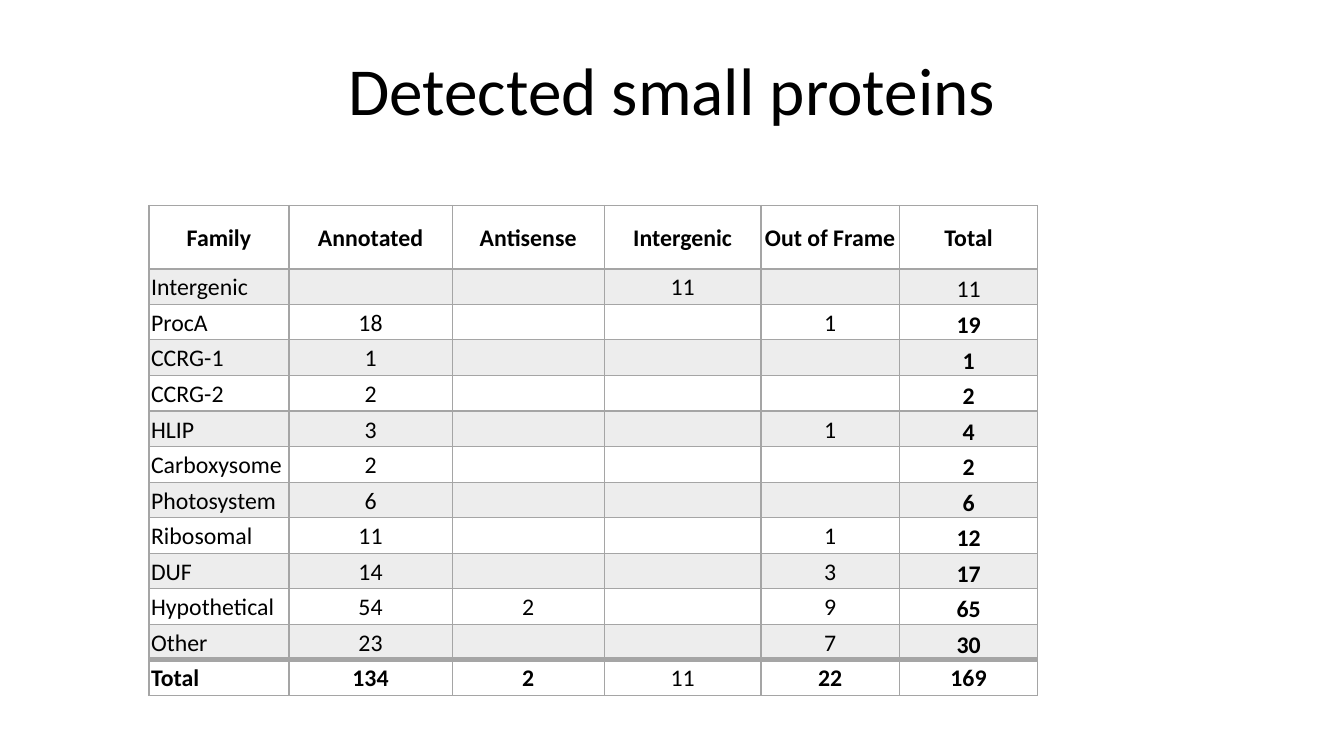
from lxml import etree
from pptx import Presentation
from pptx.dml.color import RGBColor
from pptx.enum.text import MSO_ANCHOR, PP_ALIGN
from pptx.oxml.ns import qn
from pptx.util import Pt

LEFT, CENTER = PP_ALIGN.LEFT, PP_ALIGN.CENTER
MIDDLE, BOTTOM = MSO_ANCHOR.MIDDLE, MSO_ANCHOR.BOTTOM
BLACK = RGBColor(0x00, 0x00, 0x00)
WHITE = RGBColor(0xFF, 0xFF, 0xFF)
BAND = RGBColor(0xED, 0xED, 0xED)
GREY = RGBColor(0xA5, 0xA5, 0xA5)
FONT = "Calibri"

ROWS = [
    ["Family", "Annotated", "Antisense", "Intergenic", "Out of Frame", "Total"],
    ["Intergenic", "", "", "11", "", "11"],
    ["ProcA", "18", "", "", "1", "19"],
    ["CCRG-1", "1", "", "", "", "1"],
    ["CCRG-2", "2", "", "", "", "2"],
    ["HLIP", "3", "", "", "1", "4"],
    ["Carboxysome", "2", "", "", "", "2"],
    ["Photosystem", "6", "", "", "", "6"],
    ["Ribosomal", "11", "", "", "1", "12"],
    ["DUF", "14", "", "", "3", "17"],
    ["Hypothetical", "54", "2", "", "9", "65"],
    ["Other", "23", "", "", "7", "30"],
    ["Total", "134", "2", "11", "22", "169"],
]
WIDTHS = [100, 116.6, 108.6, 112, 98.8, 99]
HEAD_H, ROW_H = 45.2, 25.4
LAST_ROW, LAST_COL = len(ROWS) - 1, len(WIDTHS) - 1
PLAIN = {(1, LAST_COL), (LAST_ROW, 3)}  # totals that are not bold
RULES = {1: 2, LAST_ROW: 4}  # weight of the line above a row


def style(par, size, bold, align):
    """Set the font and alignment of a paragraph."""
    par.alignment = align
    par.font.name = FONT
    par.font.size = Pt(size)
    par.font.bold = bold
    par.font.color.rgb = BLACK


def border(cell, side, weight):
    """Draw one grey edge of a cell."""
    line = etree.SubElement(cell._tc.get_or_add_tcPr(), qn("a:ln" + side), w=str(Pt(weight)))
    fill = etree.SubElement(line, qn("a:solidFill"))
    etree.SubElement(fill, qn("a:srgbClr"), val=str(GREY))


prs = Presentation()
prs.slide_width, prs.slide_height = Pt(960), Pt(540)
slide = prs.slides.add_slide(prs.slide_layouts[6])

# Title
frame = slide.shapes.add_textbox(Pt(66), Pt(23), Pt(828), Pt(73.4)).text_frame
frame.word_wrap = True
frame.vertical_anchor = BOTTOM
title = frame.paragraphs[0]
title.text = "Detected small proteins"
title.line_spacing = 0.9
title.space_after = Pt(6)
style(title, 48, False, CENTER)

# Table of protein counts
height = HEAD_H + ROW_H * LAST_ROW
table = slide.shapes.add_table(
    len(ROWS), len(WIDTHS), Pt(106.4), Pt(146.8), Pt(sum(WIDTHS)), Pt(height)
).table
table.first_row = table.horz_banding = False
for col, width in zip(table.columns, WIDTHS):
    col.width = Pt(width)

for r, row in enumerate(ROWS):
    table.rows[r].height = Pt(ROW_H if r else HEAD_H)
    body = 0 < r < LAST_ROW
    for c, text in enumerate(row):
        cell = table.cell(r, c)
        cell.margin_left = cell.margin_right = cell.margin_top = Pt(1.5)
        cell.margin_bottom = 0
        cell.vertical_anchor = BOTTOM if body and c == LAST_COL else MIDDLE
        par = cell.text_frame.paragraphs[0]
        par.text = text
        bold = (not body or c == LAST_COL) and (r, c) not in PLAIN
        style(par, 17, bold, LEFT if r and c == 0 else CENTER)
        border(cell, "L", 1)
        border(cell, "R", 1)
        border(cell, "T", RULES.get(r, 1))
        border(cell, "B", RULES.get(r + 1, 1))
        cell.fill.solid()
        cell.fill.fore_color.rgb = BAND if body and r % 2 else WHITE

prs.save("out.pptx")
